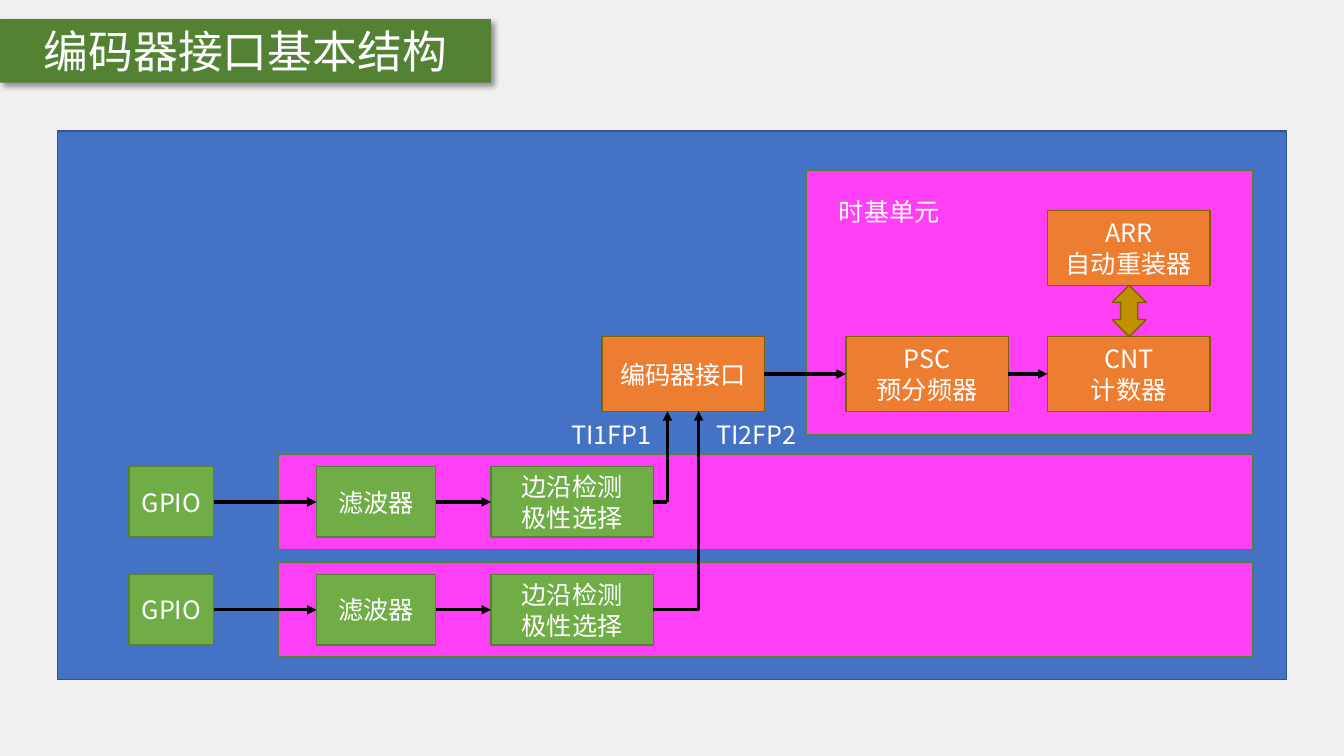
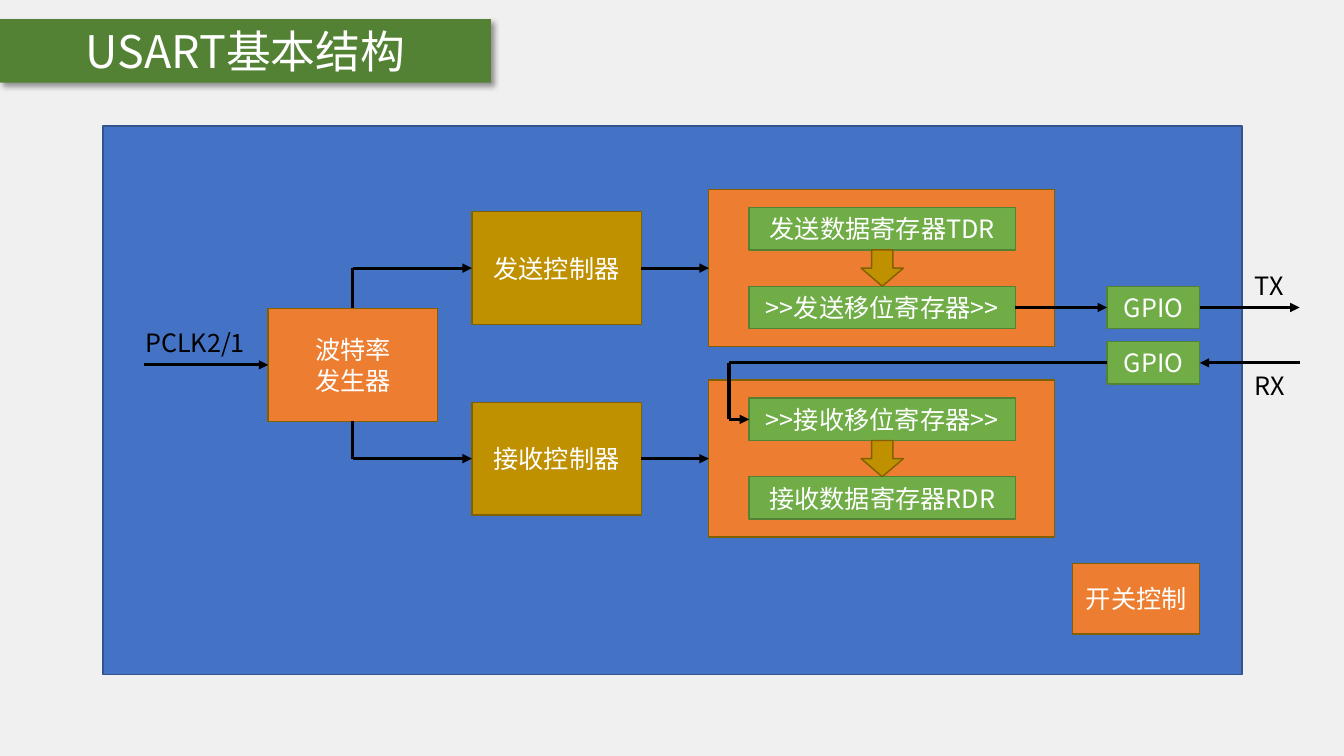
from dataclasses import dataclass

from lxml.etree import SubElement
from pptx import Presentation
from pptx.dml.color import RGBColor
from pptx.enum.shapes import MSO_CONNECTOR as Link, MSO_SHAPE as Kind
from pptx.enum.text import MSO_ANCHOR as Anchor, MSO_AUTO_SIZE as Auto, PP_ALIGN as Align
from pptx.oxml.ns import qn
from pptx.util import Inches, Pt

TOP, LEFT, BOTTOM, RIGHT = range(4)


@dataclass(frozen=True)
class Theme:
    """Colours, fill and edge pairs, font and sizes of the deck."""
    font: str = "Noto Sans CJK SC"
    head: int = 32
    text: int = 18
    edge: float = 1
    wire: float = 2.25
    back: str = "F0F0F0"
    white: str = "FFFFFF"
    black: str = "000000"
    band: str = "548235"
    blue: tuple = ("4472C4", "325491")
    pink: tuple = ("FF3FF6", "548235")
    orange: tuple = ("ED7D31", "806000")
    green: tuple = ("70AD47", "548235")
    gold: tuple = ("BF9000", "806000")


T = Theme()


def rgb(code):
    """Turn a hex code into a colour."""
    return RGBColor.from_string(code)


def place(shape, x, y, w, h):
    """Move and size a shape, in inches."""
    shape.left, shape.top = Inches(x), Inches(y)
    shape.width, shape.height = Inches(w), Inches(h)


def write(shape, text, color=T.white, size=T.text, align=Align.CENTER):
    """Set the text of a shape, one paragraph a line."""
    frame = shape.text_frame
    frame.text = text
    frame.word_wrap = True
    frame.auto_size = Auto.NONE
    frame.vertical_anchor = Anchor.MIDDLE
    frame.margin_left = frame.margin_right = 0
    for para in frame.paragraphs:
        para.alignment = align
        for run in para.runs:
            font = run.font
            font.size, font.name = Pt(size), T.font
            font.color.rgb = rgb(color)
            SubElement(font._element, qn("a:ea"), typeface=T.font)


def box(slide, x, y, w, h, look, text="", kind=Kind.RECTANGLE):
    """Add a filled shape with an edge and centred text."""
    shape = slide.shapes.add_shape(kind, 0, 0, 0, 0)
    place(shape, x, y, w, h)
    fill, edge = look
    shape.shadow.inherit = False
    shape.fill.solid()
    shape.fill.fore_color.rgb = rgb(fill)
    shape.line.color.rgb = rgb(edge)
    shape.line.width = Pt(T.edge)
    if text:
        write(shape, text)
    return shape


def label(slide, x, y, w, text, color):
    """Add a one-line text box."""
    shape = slide.shapes.add_textbox(0, 0, 0, 0)
    place(shape, x, y, w, 0.4)
    write(shape, text, color)


def spot(end):
    """Give the place of a point or of a (shape, side) pair."""
    first, side = end
    if isinstance(first, (int, float)):
        return Inches(first), Inches(side)
    across, down = ((0.5, 0), (0, 0.5), (0.5, 1), (1, 0.5))[side]
    return (int(first.left + first.width * across),
            int(first.top + first.height * down))


def route(slide, *ends):
    """Draw straight lines through the ends, with an arrowhead at the last."""
    for start, stop in zip(ends, ends[1:]):
        wire = slide.shapes.add_connector(Link.STRAIGHT, *spot(start), *spot(stop))
        wire.line.color.rgb = rgb(T.black)
        wire.line.width = Pt(T.wire)
        props = wire.element.spPr
        if stop is ends[-1]:
            SubElement(props.find(qn("a:ln")), qn("a:tailEnd"), type="triangle")
        SubElement(props, qn("a:effectLst"))
        if hasattr(start[0], "shape_id"):
            wire.begin_connect(*start)
        if hasattr(stop[0], "shape_id"):
            wire.end_connect(*stop)


def page(deck, text):
    """Add a slide with its title band."""
    slide = deck.slides.add_slide(deck.slide_layouts[5])
    title = slide.shapes.title
    place(title, 0, 0.19, 4.87, 0.63)
    title.fill.solid()
    title.fill.fore_color.rgb = rgb(T.band)
    title.line.fill.background()
    title.shadow.inherit = False
    glow = SubElement(title.element.spPr.find(qn("a:effectLst")), qn("a:outerShdw"),
                      blurRad=str(Pt(4)), dist=str(Pt(3)), dir=str(45 * 60000),
                      algn="tl", rotWithShape="0")
    tint = SubElement(glow, qn("a:srgbClr"), val=T.black)
    SubElement(tint, qn("a:alpha"), val="40000")
    write(title, text, size=T.head)
    return slide


def timer(slide, x, y, w, h):
    """Draw the time base unit and return its prescaler."""
    unit = box(slide, x, y, w, h, T.pink)
    write(unit, "时基单元", align=Align.LEFT)
    frame = unit.text_frame
    frame.vertical_anchor = Anchor.TOP
    frame.margin_left, frame.margin_top = Inches(0.32), Inches(0.26)
    parts = [(2.39, 0.4, "ARR\n自动重装器"), (2.39, 1.65, "CNT\n计数器"),
             (0.39, 1.65, "PSC\n预分频器")]
    _, count, scale = [box(slide, x + dx, y + dy, 1.61, 0.74, T.orange, text)
                       for dx, dy, text in parts]
    box(slide, x + 3.03, y + 1.14, 0.34, 0.51, T.gold, kind=Kind.UP_DOWN_ARROW)
    route(slide, (scale, RIGHT), (count, LEFT))
    return scale


def channel(slide, x, y, w, h):
    """Draw one input channel and return its edge detector."""
    box(slide, x, y, w, h, T.pink)
    high = 0.7
    parts = [(-1.48, 0.84, "GPIO"), (0.38, 1.18, "滤波器"),
             (2.11, 1.61, "边沿检测\n极性选择")]
    pin, sieve, edge = [
        box(slide, x + dx, y + (h - high) / 2, wide, high, T.green, text)
        for dx, wide, text in parts]
    route(slide, (pin, RIGHT), (sieve, LEFT))
    route(slide, (sieve, RIGHT), (edge, LEFT))
    return edge


def encoder(slide, x, y, w, h):
    """Draw the encoder interface diagram."""
    box(slide, x, y, w, h, T.blue)
    scale = timer(slide, x + 7.43, y + 0.39, 4.43, 2.62)
    port = box(slide, x + 5.4, y + 2.04, 1.61, 0.74, T.orange, "编码器接口")
    route(slide, (port, RIGHT), (scale, LEFT))
    rows = [(3.21, 6.05, 5, "TI1FP1"), (4.28, 6.36, 6.44, "TI2FP2")]
    edges = [channel(slide, x + 2.19, y + row[0], 9.67, 0.94) for row in rows]
    for edge, (dy, turn, left, text) in zip(edges, rows):
        route(slide, (edge, RIGHT), (x + turn, y + dy + 0.47), (x + turn, y + 2.78))
        label(slide, x + left, y + 2.81, 0.99, text, T.white)


def lane(slide, x, y, name, *regs):
    """Draw a controller with its two registers and return all three."""
    ctrl = box(slide, x, y + 0.22, 1.68, 1.12, T.gold, name)
    left = x + 2.35
    frame = box(slide, left, y, 3.43, 1.56, T.orange)
    upper, lower = [box(slide, left + 0.4, y + dy, 2.64, 0.42, T.green, text)
                    for dy, text in zip((0.18, 0.96), regs)]
    box(slide, left + 1.51, y + 0.6, 0.42, 0.36, T.gold, kind=Kind.DOWN_ARROW)
    route(slide, (ctrl, RIGHT), (frame, LEFT))
    return ctrl, upper, lower


def usart(slide, x, y, w, h):
    """Draw the USART diagram."""
    box(slide, x, y, w, h, T.blue)
    baud = box(slide, x + 1.64, y + 1.81, 1.68, 1.12, T.orange, "波特率\n发生器")
    send, _, out = lane(slide, x + 3.66, y + 0.63, "发送控制器",
                        "发送数据寄存器TDR", ">>发送移位寄存器>>")
    take, into, _ = lane(slide, x + 3.66, y + 2.52, "接收控制器",
                         ">>接收移位寄存器>>", "接收数据寄存器RDR")
    for side, ctrl, dy in ((TOP, send, 1.41), (BOTTOM, take, 3.3)):
        route(slide, (baud, side), (x + 2.48, y + dy), (ctrl, LEFT))
    pin_tx, pin_rx = [box(slide, x + 9.96, y + dy, 0.92, 0.42, T.green, "GPIO")
                      for dy in (1.59, 2.14)]
    far, turn = x + 11.87, x + 6.21
    route(slide, (out, RIGHT), (pin_tx, LEFT))
    route(slide, (pin_tx, RIGHT), (far, y + 1.8))
    route(slide, (far, y + 2.35), (pin_rx, RIGHT))
    route(slide, (pin_rx, LEFT), (turn, y + 2.35), (turn, y + 2.91), (into, LEFT))
    route(slide, (x + 0.41, y + 2.37), (baud, LEFT))
    for dx, dy, wide, text in ((11.23, 1.38, 0.68, "TX"), (11.23, 2.37, 0.68, "RX"),
                               (0.29, 1.95, 1.25, "PCLK2/1")):
        label(slide, x + dx, y + dy, wide, text, T.black)
    box(slide, x + 9.62, y + 4.34, 1.26, 0.7, T.orange, "开关控制")


def main():
    """Build and save the deck."""
    deck = Presentation()
    deck.slide_width, deck.slide_height = Inches(13.33), Inches(7.5)
    fill = deck.slide_master.background.fill
    fill.solid()
    fill.fore_color.rgb = rgb(T.back)
    encoder(page(deck, "编码器接口基本结构"), 0.57, 1.3, 12.19, 5.44)
    usart(page(deck, "USART基本结构"), 1.02, 1.25, 11.3, 5.44)
    deck.save("out.pptx")


if __name__ == "__main__":
    main()
